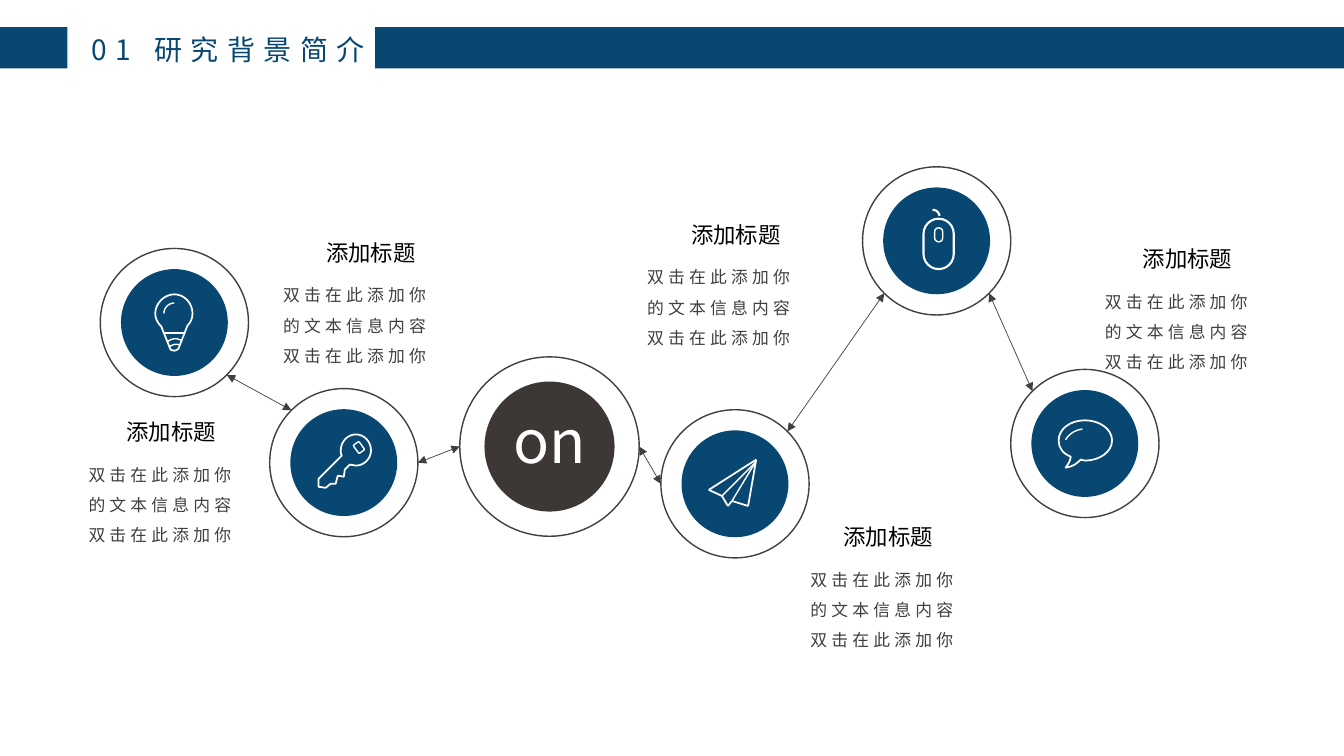
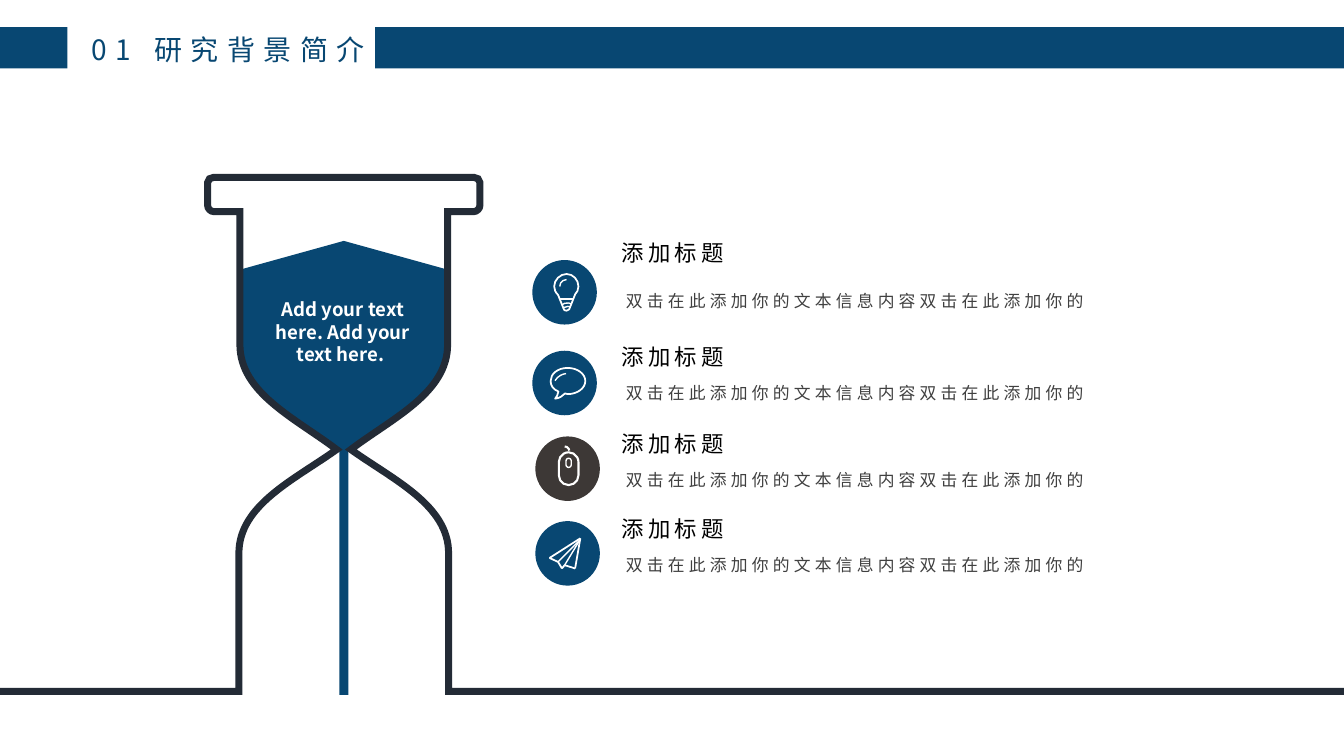
from math import cos, sin, radians
from lxml.etree import SubElement as Sub
from pptx import Presentation
from pptx.dml.color import RGBColor
from pptx.enum.shapes import MSO_SHAPE as Shp, MSO_CONNECTOR as Con
from pptx.enum.text import PP_ALIGN as Al, MSO_ANCHOR as Anc, MSO_AUTO_SIZE as Fit
from pptx.oxml.ns import qn
from pptx.util import Inches, Pt

WIDE, HIGH = 13.33, 7.5
BLUE, DARK, GREY, INK = "084772", "3D3836", "404040", "232B36"
WHITE, BLACK = "FFFFFF", "000000"
FONT = "Noto Sans CJK SC"
HEAD = "添加标题"
LINE = "双击在此添加你的文本信息内容双击在此添加你"


# ---- basic parts ----
def color(code):
    return RGBColor.from_string(code)


def paint(shape, fill=None, line=None, width=1):
    shape.shadow.inherit = False
    if fill:
        shape.fill.solid()
        shape.fill.fore_color.rgb = color(fill)
    else:
        shape.fill.background()
    if line:
        shape.line.color.rgb = color(line)
        shape.line.width = Pt(width)
    else:
        shape.line.fill.background()
    return shape


def put(slide, kind, cx, cy, w, h, turn=0, adj=(), **look):
    """Preset shape placed by its centre."""
    shape = slide.shapes.add_shape(kind, Inches(cx - w / 2), Inches(cy - h / 2),
                                   Inches(w), Inches(h))
    shape.rotation = turn
    for i, value in enumerate(adj):
        shape.adjustments[i] = value
    return paint(shape, **look)


def link(slide, start, end, tint, width, arrows=False):
    con = slide.shapes.add_connector(
        Con.STRAIGHT, *[Inches(v) for v in (*start, *end)])
    con.line.color.rgb = color(tint)
    con.line.width = Pt(width)
    if arrows:
        ln = con.line._get_or_add_ln()
        for tag in ("a:headEnd", "a:tailEnd"):
            Sub(ln, qn(tag), type="triangle")
    Sub(con._element.spPr, qn("a:effectLst"))


def draw(slide, steps, x, y, size=1, close=True, **look):
    """Outline of points (two numbers) and cubic curves (six numbers)."""
    def spots(step):
        return [(Inches(x + a * size), Inches(y + b * size))
                for a, b in zip(step[::2], step[1::2])]

    ends = [spots(step)[-1] for step in steps]
    form = slide.shapes.build_freeform(*ends[0], scale=1.0)
    form.add_line_segments(ends[1:], close=close)
    shape = form.convert_to_shape()
    route = shape._element.find(".//" + qn("a:path"))
    for step, node in zip(steps, list(route)):
        if len(step) == 6:
            curve = Sub(route, qn("a:cubicBezTo"))
            for px, py in spots(step):
                Sub(curve, qn("a:pt"), x=str(px - shape.left),
                    y=str(py - shape.top))
            route.replace(node, curve)
    return paint(shape, **look)


def write(shape, text, size, tint, align=Al.LEFT, gap=0, wrap=True,
          bold=False, lead=None):
    frame = shape.text_frame
    frame.word_wrap = wrap
    frame.auto_size = Fit.SHAPE_TO_FIT_TEXT
    frame.vertical_anchor = Anc.TOP
    frame.text = text
    para = frame.paragraphs[0]
    para.alignment = align
    if lead:
        para.line_spacing = lead
    font = para.font
    font.size, font.bold, font.name = Pt(size), bold, FONT
    font.color.rgb = color(tint)
    if gap:
        font._rPr.set("spc", str(gap * 100))
    Sub(font._rPr, qn("a:ea"), typeface=FONT)


def label(slide, x, y, w, h, *words, **style):
    box = slide.shapes.add_textbox(Inches(x), Inches(y), Inches(w), Inches(h))
    write(box, *words, **style)


# ---- icons, each around its centre ----
BULB = [(0, -.28), (.1, -.28, .18, -.19, .18, -.09),
        (.18, -.04, .16, 0, .13, .03), (.04, .26),
        (.03, .27, .01, .28, 0, .28), (-.03, .28, -.05, .27, -.05, .24),
        (-.13, .04), (-.17, 0, -.19, -.04, -.19, -.09),
        (-.19, -.19, -.1, -.28, 0, -.28)]
CHAT = [(0, -.23), (.15, -.23, .27, -.14, .27, -.03),
        (.27, .08, .15, .17, 0, .17), (-.04, .16),
        (-.08, .2, -.12, .23, -.19, .24), (-.18, .22, -.14, .18, -.14, .13),
        (-.22, .1, -.26, .04, -.26, -.03),
        (-.26, -.14, -.15, -.23, 0, -.23)]
KEY = [(.11, -.26), (.19, -.26, .26, -.19, .26, -.1),
       (.26, -.02, .19, .05, .11, .05), (.05, .04), (0, .09),
       (-.01, .16), (-.07, .15), (-.09, .23), (-.14, .23), (-.19, .27),
       (-.26, .26), (-.26, .18), (-.03, -.05),
       (-.04, -.06, -.04, -.08, -.04, -.1),
       (-.04, -.19, .03, -.26, .11, -.26)]
PLANE = [(.24, -.23), (-.23, .07), (-.1, .13), (-.04, .23), (0, .18),
         (.16, .23), (.24, -.23)]


def part(slide, kind, x, y, size, dx, dy, w, h, width=1, **more):
    put(slide, kind, x + dx * size, y + dy * size, w * size, h * size,
        line=WHITE, width=width, **more)


def stroke(slide, x, y, size, start, end, width=1.25):
    ends = [(x + a * size, y + b * size) for a, b in (start, end)]
    link(slide, *ends, WHITE, width)


def bulb(slide, *at):
    draw(slide, BULB, *at, line=WHITE, width=1.25)
    stroke(slide, *at, (-.11, .1), (.1, .1))
    for dx, dy, w, turn, adj in ((0, -.09, .21, 270, (162, 215.5)),
                                 (.01, .28, .24, 309, (168.25, 210.6)),
                                 (.02, .32, .21, 300, (175.25, 210.13))):
        part(slide, Shp.ARC, *at, dx, dy, w, w, turn=turn, adj=adj)


def chat(slide, *at):
    draw(slide, CHAT, *at, line=WHITE, width=1.25)
    part(slide, Shp.ARC, *at, 0, .08, .45, .45, turn=301.2, adj=(162, 193.58))


def plane(slide, *at):
    for start, end in zip(PLANE, PLANE[1:]):
        stroke(slide, *at, start, end)
    for fold in (PLANE[2], PLANE[4]):
        stroke(slide, *at, (.23, -.2), fold, 1)


def key(slide, *at):
    draw(slide, KEY, *at, line=WHITE, width=1.25)
    part(slide, Shp.ROUNDED_RECTANGLE, *at, .14, -.13, .1, .07, turn=53.8)


def mouse(slide, *at):
    for dy, w, h, width in ((0, .3, .5, 1.5), (-.09, .08, .14, 1)):
        part(slide, Shp.ROUNDED_RECTANGLE, *at, 0, dy, w, h, width, adj=(.5,))
    part(slide, Shp.ARC, *at, -.06, -.27, .14, .14, 1.5, adj=(162, 212.1))


# ---- regions ----
def start(deck, text):
    """New slide with its title between two bands."""
    slide = deck.slides.add_slide(deck.slide_layouts[5])
    left, right, top, high = .67, 3.72, .27, .41
    for x, end in ((0, left), (right, WIDE)):
        put(slide, Shp.RECTANGLE, (x + end) / 2, top + high / 2,
            end - x, high, fill=BLUE)
    title = slide.shapes.title
    title.left, title.top = Inches(left), Inches(top)
    title.width, title.height = Inches(right - left), Inches(.44)
    write(title, text, 20, BLUE, align=Al.RIGHT, gap=6, wrap=False)
    return slide


def node(slide, x, y, ring=1.47, disc=1.06, fill=BLUE):
    put(slide, Shp.OVAL, x, y, disc, disc, fill=fill)
    put(slide, Shp.OVAL, x, y, ring, ring, line=GREY)


def rim(spot, angle):
    x, y, ring = spot
    turn = radians(angle)
    return x + ring / 2 * cos(turn), y + ring / 2 * sin(turn)


def note(slide, x, y, shift):
    label(slide, x + shift, y - .36, 1.1, .37, HEAD, 16, BLACK,
          align=Al.RIGHT, wrap=False)
    label(slide, x, y, 1.83, 1.01, LINE, 12, GREY, gap=3, lead=1.5)


def mirror(half):
    """The same outline flipped left to right and run backwards."""
    back = [half[-1][-2:]]
    for prev, step in reversed(list(zip(half, half[1:]))):
        bend = step[2:4] + step[:2] if len(step) == 6 else ()
        back.append(bend + prev[-2:])
    return [tuple(v if i % 2 else -v for i, v in enumerate(step))
            for step in back]


def glass(slide, x, y):
    """Hourglass standing on a ground line, from the middle of its lid."""
    wall = [(1.29, 0), (1.32, 0, 1.35, .02, 1.35, .05), (1.35, .28),
            (1.35, .31, 1.32, .34, 1.29, .34), (1.03, .34), (1.03, 1.66),
            (1.03, 2.14, .48, 2.39, .07, 2.7),
            (.49, 3, 1.04, 3.25, 1.04, 3.73), (1.04, 5.1)]
    sand = [(0, .63), (1.01, .91), (1.01, 1.67),
            (1.01, 2.14, .47, 2.39, .07, 2.68), (.08, 2.69)]
    put(slide, Shp.RECTANGLE, x, y + 3.9, .09, 2.47, fill=BLUE)
    draw(slide, mirror(sand) + sand[1:], x, y, fill=BLUE)
    ground = [(-x, 5.1)] + mirror(wall) + wall + [(WIDE - x, 5.1)]
    shell = draw(slide, ground, x, y, close=False, line=INK, width=5)
    Sub(shell.line._get_or_add_ln(), qn("a:miter"), lim="800000")
    label(slide, x - .86, y + 1.15, 1.7, .55,
          "Add your text here. Add your text here. ", 13.3, WHITE,
          align=Al.CENTER, bold=True)


def item(slide, x, y, icon, fill, shift, top, gap):
    """Disc with icon, heading and one line of text."""
    put(slide, Shp.OVAL, x, y, .64, .64, fill=fill)
    icon(slide, x + shift, y, .65)
    label(slide, 6.07, top, 1.27, .37, HEAD, 16, BLACK, gap=3, wrap=False)
    label(slide, 6.11, top + gap, 5.71, .38, LINE + "的", 12, GREY,
          gap=3, lead=1.5)


# ---- slides ----
def chain(deck):
    slide = start(deck, "01 研究背景简介")
    spots = [(1.73, 3.2, 1.47), (3.41, 4.59, 1.47), (5.45, 4.43, 1.78),
             (7.29, 4.8, 1.47), (9.29, 2.39, 1.47), (10.76, 4.4, 1.47)]
    icons = [(bulb, 0, 0), (key, .01, -.02), None,
             (plane, -.03, -.01), (mouse, .02, .03), (chat, 0, 0)]
    for (x, y, ring), mark in zip(spots, icons):
        if mark:
            icon, dx, dy = mark
            node(slide, x, y)
            icon(slide, x + dx, y + dy, 1)
        else:
            node(slide, x, y, ring, 1.29, DARK)
            label(slide, x - .46, y - .47, 1.21, .82, "on", 42.6, WHITE)
    angles = [(45, 225), (0, 180), (0, 180), (-45, 135), (45, 225)]
    for one, two, (out, into) in zip(spots, spots[1:], angles):
        link(slide, rim(one, out), rim(two, into), GREY, .5, arrows=True)
    for spot in ((.78, 4.46, .36), (2.71, 2.68, .41), (7.94, 5.5, .31),
                 (6.32, 2.5, .42), (10.86, 2.74, .36)):
        note(slide, *spot)


def hours(deck):
    slide = start(deck, "01 研究背景简介")
    glass(slide, 3.41, 1.76)
    for row in ((5.6, 2.9, bulb, BLUE, .02, 2.32, .41),
                (5.6, 3.8, chat, BLUE, .03, 3.36, .29),
                (5.63, 4.65, mouse, DARK, .01, 4.22, .29),
                (5.63, 5.49, plane, BLUE, -.03, 5.06, .29)):
        item(slide, *row)


def main():
    deck = Presentation()
    deck.slide_width, deck.slide_height = Inches(WIDE), Inches(HIGH)
    chain(deck)
    hours(deck)
    deck.save("out.pptx")


if __name__ == "__main__":
    main()
